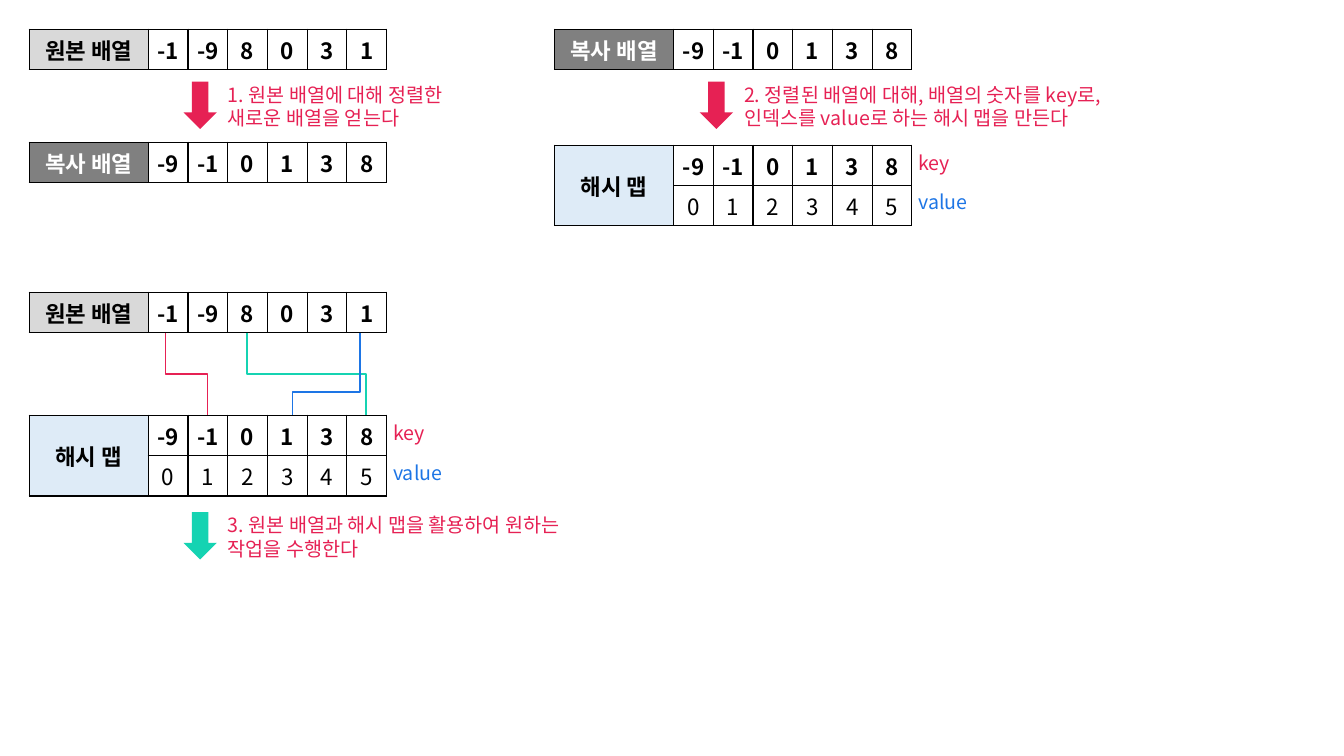
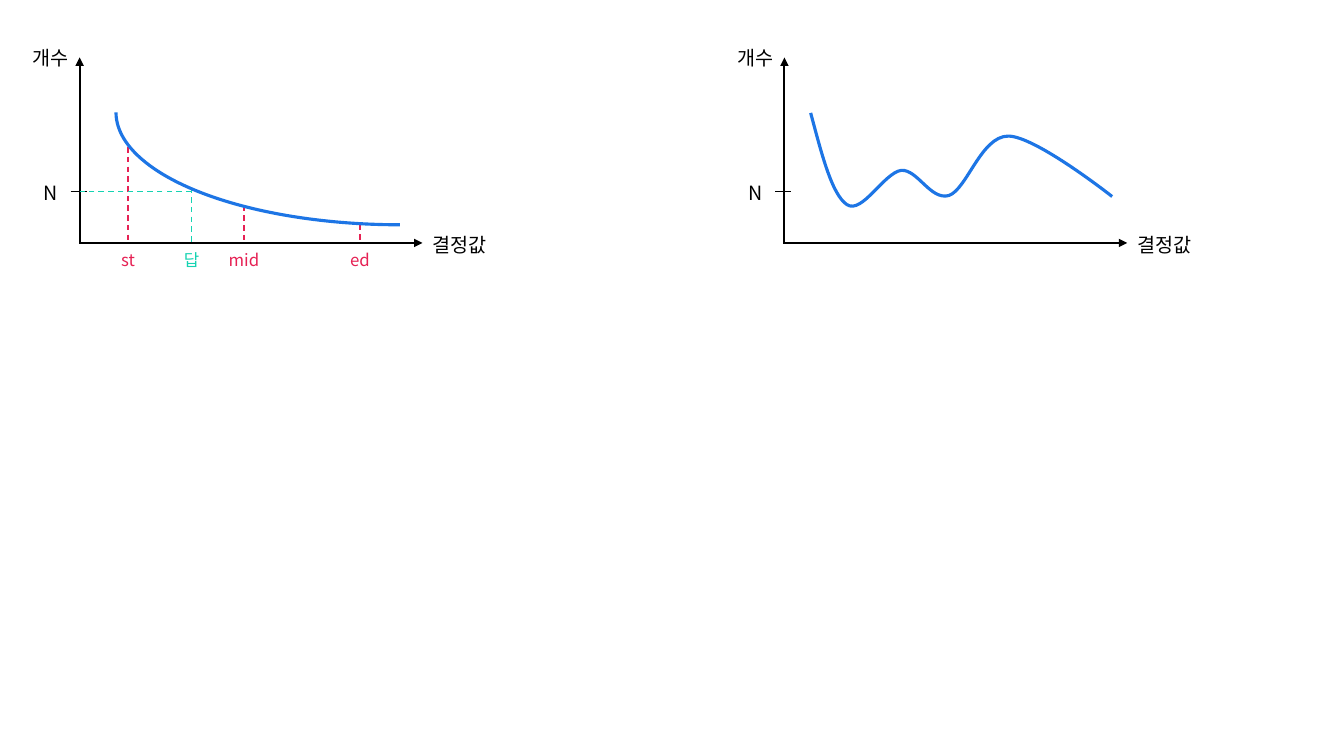
from dataclasses import dataclass
from itertools import product
from typing import Optional

from lxml.etree import SubElement
from pptx import Presentation
from pptx.dml.color import RGBColor
from pptx.enum.dml import MSO_LINE
from pptx.enum.shapes import MSO_CONNECTOR, MSO_SHAPE
from pptx.enum.text import MSO_ANCHOR, PP_ALIGN
from pptx.oxml.ns import qn
from pptx.util import Cm, Inches, Pt

# Shared look
FACE = "Noto Sans CJK KR"
BLACK, WHITE = "000000", "FFFFFF"
RED, BLUE, MINT = "E62154", "1D75E5", "15D3B2"
LIGHT, GRAY, PALE = "D9D9D9", "808080", "DEEBF7"
CELL = Cm(1)
HEAD = 3  # width of the name column, in cells
PAD = 0.04
SHIFT = 7  # distance between the two plots


@dataclass
class Grid:
    x: float
    y: float
    name: str
    fill: str
    ink: str
    rows: list[str]


@dataclass
class Step:
    x: float
    y: float
    wide: float
    fill: str
    text: str


@dataclass
class Label:
    x: float
    y: float
    wide: float
    text: str
    size: int = 14
    ink: str = BLACK
    tall: float = 0.29


@dataclass
class Link:
    x: float
    y: float
    endx: float
    endy: float
    ink: str
    bend: float = 0.5


@dataclass
class Rule:
    x: float
    y: float
    endx: float
    endy: float
    ink: str = BLACK
    wide: float = 1
    dash: bool = False
    tip: bool = False


def color(code: str) -> RGBColor:
    return RGBColor.from_string(code)


def write(frame, text: str, size: int, ink: str, bold: bool = False,
          align=PP_ALIGN.CENTER) -> None:
    """Add one run with the shared typeface."""
    para = frame.paragraphs[0]
    para.alignment = align
    run = para.add_run()
    run.text = text
    font = run.font
    font.name, font.size, font.bold = FACE, Pt(size), bold
    font.color.rgb = color(ink)
    SubElement(run._r.get_or_add_rPr(), qn("a:ea"), typeface=FACE)


def pad(item, left: float, top: float) -> None:
    item.margin_left = Inches(left)
    item.margin_right = Inches(PAD)
    item.margin_top = item.margin_bottom = Inches(top)


# Tables
def edge(cell) -> None:
    props = cell._tc.get_or_add_tcPr()
    for i, side in enumerate(("lnL", "lnR", "lnT", "lnB")):
        line = SubElement(props, qn(f"a:{side}"), w=str(Pt(1)))
        fill = SubElement(line, qn("a:solidFill"))
        SubElement(fill, qn("a:srgbClr"), val=BLACK)
        props.insert(i, line)


def draw_grid(slide, grid: Grid) -> None:
    data = [row.split() for row in grid.rows]
    high, cols = len(data), len(data[0]) + 1
    table = slide.shapes.add_table(
        high, cols, Inches(grid.x), Inches(grid.y),
        CELL * (HEAD + cols - 1), CELL * high).table
    table.first_row = table.horz_banding = False
    for i, col in enumerate(table.columns):
        col.width = CELL if i else CELL * HEAD
    for row in table.rows:
        row.height = CELL
    if high > 1:
        table.cell(0, 0).merge(table.cell(high - 1, 0))
    for r, c in product(range(high), range(cols)):
        cell = table.cell(r, c)
        pad(cell, PAD, PAD)
        cell.vertical_anchor = MSO_ANCHOR.MIDDLE
        cell.fill.solid()
        cell.fill.fore_color.rgb = color(WHITE if c else grid.fill)
        edge(cell)
        if c:
            write(cell.text_frame, data[r][c - 1], 16, BLACK, r == 0)
        elif r == 0:
            write(cell.text_frame, grid.name, 16, grid.ink, True)


# Text
def draw_label(slide, label: Label, side: bool = False) -> None:
    """Draw centred text, or left text in the middle of its box."""
    frame = slide.shapes.add_textbox(
        Inches(label.x), Inches(label.y),
        Inches(label.wide), Inches(label.tall)).text_frame
    frame.word_wrap = True
    pad(frame, 0 if side else PAD, 0.05 if side else PAD)
    frame.vertical_anchor = MSO_ANCHOR.MIDDLE if side else MSO_ANCHOR.TOP
    write(frame, label.text, label.size, label.ink,
          align=PP_ALIGN.LEFT if side else PP_ALIGN.CENTER)


def draw_step(slide, step: Step) -> None:
    arrow = slide.shapes.add_shape(
        MSO_SHAPE.RIGHT_ARROW, Inches(step.x), Inches(step.y),
        Inches(0.47), Inches(0.33))
    arrow.rotation = 90
    arrow.shadow.inherit = False
    arrow.fill.solid()
    arrow.fill.fore_color.rgb = color(step.fill)
    arrow.line.fill.background()
    draw_label(slide, Label(step.x + 0.51, step.y + 0.03, step.wide,
                            step.text, ink=RED), True)


def draw_keys(slide, x: float, y: float) -> None:
    draw_label(slide, Label(x, y, 0.39, "key", ink=RED, tall=0.39), True)
    draw_label(slide, Label(x, y + 0.39, 0.6, "value", ink=BLUE, tall=0.39),
               True)


# Lines
def wire(slide, kind, x: float, y: float, endx: float, endy: float,
         ink: str, wide: float):
    line = slide.shapes.add_connector(
        kind, Inches(x), Inches(y), Inches(endx), Inches(endy))
    line.line.color.rgb = color(ink)
    line.line.width = Pt(wide)
    SubElement(line._element.spPr, qn("a:effectLst"))
    return line


def draw_rule(slide, rule: Rule, dx: float = 0) -> None:
    line = wire(slide, MSO_CONNECTOR.STRAIGHT, rule.x + dx, rule.y,
                rule.endx + dx, rule.endy, rule.ink, rule.wide)
    if rule.dash:
        line.line.dash_style = MSO_LINE.DASH
    if rule.tip:
        SubElement(line.line._get_or_add_ln(), qn("a:headEnd"),
                   type="triangle")


def draw_link(slide, link: Link) -> None:
    """Draw an elbow that leaves downwards, turned a quarter to do so."""
    midx, midy = (link.x + link.endx) / 2, (link.y + link.endy) / 2
    halfx, halfy = abs(link.endx - link.x) / 2, (link.endy - link.y) / 2
    right = link.endx > link.x
    sign = 1 if right else -1
    line = wire(slide, MSO_CONNECTOR.ELBOW,
                midx + sign * halfy, midy - halfx,
                midx - sign * halfy, midy + halfx, link.ink, 1)
    props = line._element.spPr
    props.find(qn("a:xfrm")).set("rot", str((270 if right else 90) * 60000))
    SubElement(props.find(qn("a:prstGeom")).find(qn("a:avLst")), qn("a:gd"),
               name="adj1", fmla=f"val {round(link.bend * 100000)}")


# Curves
def style(shape) -> None:
    shape.shadow.inherit = False
    shape.fill.background()
    shape.line.color.rgb = color(BLUE)
    shape.line.width = Pt(2.25)


def draw_arc(slide) -> None:
    arc = slide.shapes.add_shape(MSO_SHAPE.ARC, Inches(1.15), 0,
                                 Inches(5.63), Inches(2.23))
    arc.rotation = 180
    style(arc)


def draw_wave(slide, dots: list[tuple[float, float]]) -> None:
    """Draw a start point and Bezier triples as one smooth outline."""
    spots = [(Inches(x), Inches(y)) for x, y in dots]
    pen = slide.shapes.build_freeform(*spots[0])
    pen.add_line_segments(spots[1:], close=False)
    wave = pen.convert_to_shape()
    style(wave)
    route = next(wave._element.iter(qn("a:path")))
    parts = route.findall(qn("a:lnTo"))
    for i in range(0, len(parts), 3):
        bend = SubElement(route, qn("a:cubicBezTo"))
        for part in parts[i:i + 3]:
            bend.append(part[0])
            route.remove(part)


# Content of the array slide
FIRST, SORTED = "-1 -9 8 0 3 1", "-9 -1 0 1 3 8"
SOURCE = ("원본 배열", LIGHT, BLACK, [FIRST])
COPY = ("복사 배열", GRAY, WHITE, [SORTED])
HASH = ("해시 맵", PALE, BLACK, [SORTED, "0 1 2 3 4 5"])
GRIDS = [
    Grid(0.29, 0.29, *SOURCE), Grid(0.29, 1.41, *COPY),
    Grid(5.5, 0.29, *COPY), Grid(5.5, 1.44, *HASH),
    Grid(0.29, 2.9, *SOURCE), Grid(0.29, 4.12, *HASH),
]
STEPS = [
    Step(1.75, 0.88, 2.2, RED,
         "1. 원본 배열에 대해 정렬한 새로운 배열을 얻는다"),
    Step(6.87, 0.88, 3.82, RED,
         "2. 정렬된 배열에 대해, 배열의 숫자를 key로, "
         "인덱스를 value로 하는 해시 맵을 만든다"),
    Step(1.75, 5.15, 3.82, MINT,
         "3. 원본 배열과 해시 맵을 활용하여 원하는 작업을 수행한다"),
]
LINKS = [
    Link(1.64, 3.3, 2.06, 4.12, RED),
    Link(2.45, 3.3, 3.63, 4.12, MINT),
    Link(3.57, 3.3, 2.9, 4.12, BLUE, 0.72),
]

# Content of the plot slide
BASE = 2.41
AXES = [
    Rule(4.19, BASE, 0.79, BASE, wide=1.5, tip=True),
    Rule(0.79, 0.57, 0.79, 2.42, wide=1.5, tip=True),
    Rule(0.7, 1.9, 0.86, 1.9, wide=0.75),
]
NAMES = [Label(0.22, 0.42, 0.57, "개수"), Label(4.19, 2.27, 0.74, "결정값"),
         Label(0.31, 1.75, 0.39, "N")]
MARKS = [(1.27, 1.46, "st", RED), (1.9, 1.86, "답", MINT),
         (2.42, 2.04, "mid", RED), (3.57, 2.23, "ed", RED)]
WAVE = [
    (8.04, 1.12), (8.15, 1.53), (8.25, 1.93), (8.4, 2.03),
    (8.55, 2.13), (8.77, 1.71), (8.94, 1.69),
    (9.1, 1.68), (9.23, 1.99), (9.41, 1.94),
    (9.59, 1.88), (9.73, 1.35), (10, 1.35),
    (10.27, 1.35), (11.03, 1.95), (11.03, 1.95),
]


def draw_arrays(slide) -> None:
    for grid in GRIDS:
        draw_grid(slide, grid)
    for step in STEPS:
        draw_step(slide, step)
    for x, y in ((9.11, 1.42), (3.9, 4.1)):
        draw_keys(slide, x, y)
    for link in LINKS:
        draw_link(slide, link)


def draw_axes(slide, dx: float) -> None:
    for rule in AXES:
        draw_rule(slide, rule, dx)
    for name in NAMES:
        draw_label(slide, Label(name.x + dx, name.y, name.wide, name.text))


def draw_plots(slide) -> None:
    for dx in (0, SHIFT - 0.01):
        draw_axes(slide, dx)
    for x, y, text, ink in MARKS:
        draw_rule(slide, Rule(x, y, x, BASE, ink, dash=True))
        draw_label(slide, Label(x - 0.33, 2.44, 0.66, text, 12, ink))
    draw_arc(slide)
    draw_rule(slide, Rule(1.9, 1.9, 0.79, 1.9, MINT, dash=True))
    draw_wave(slide, WAVE)


def main(deck: Optional[object] = None) -> None:
    deck = deck or Presentation()
    deck.slide_width, deck.slide_height = Inches(13.33), Inches(7.5)
    for draw in (draw_arrays, draw_plots):
        draw(deck.slides.add_slide(deck.slide_layouts[6]))
    deck.save("out.pptx")


if __name__ == "__main__":
    main()
